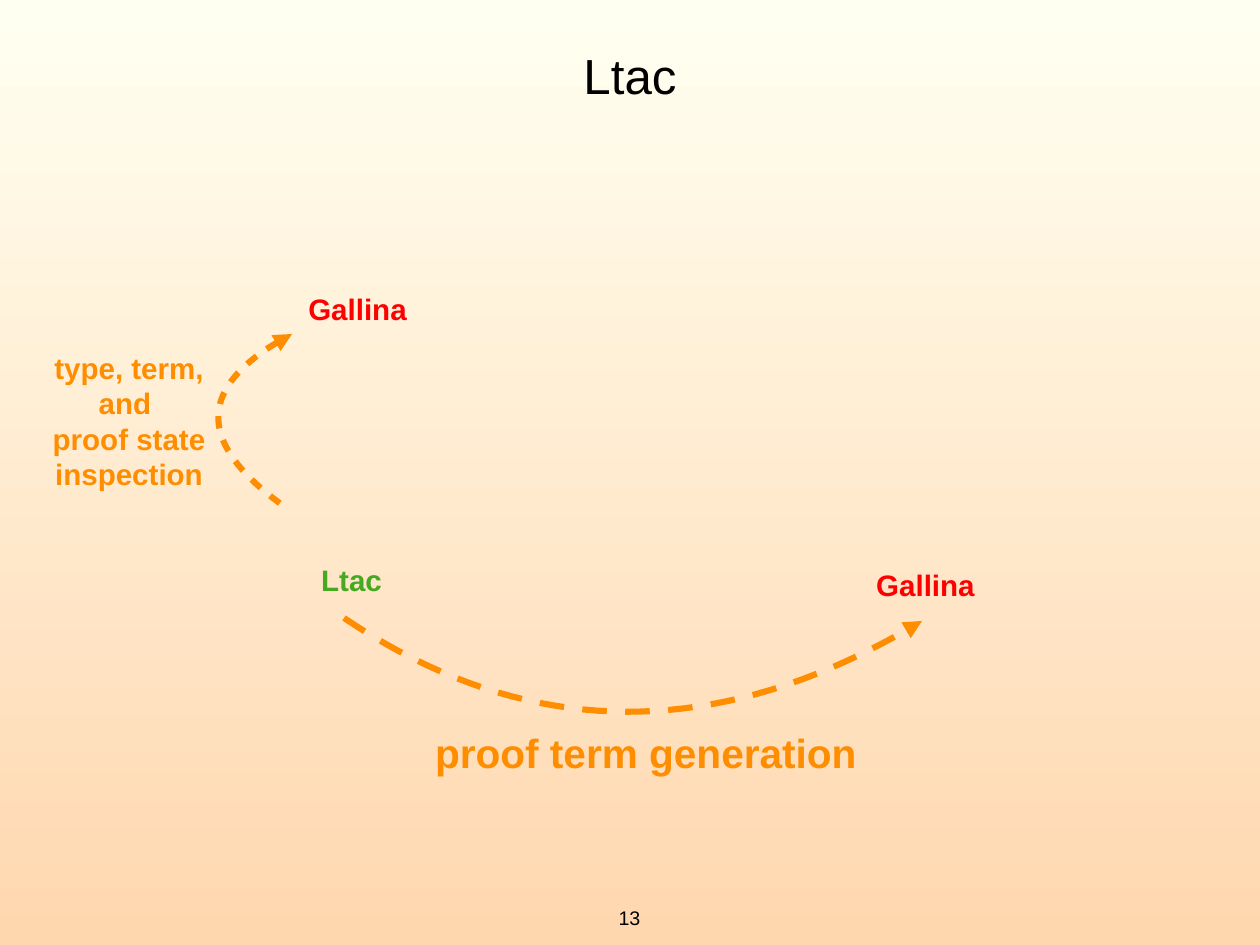
import pptx
import pptx.dml.color
import pptx.enum.text
import pptx.oxml.ns
import pptx.util
from lxml import etree

PX = 10320  # EMU per px
SLIDE_WIDTH, SLIDE_HEIGHT = 1260, 945
INSET = 5
FONT = "Arial"
CURVE_STEPS = 40
CURVE_WEIGHT = 5

BLACK = pptx.dml.color.RGBColor(0x00, 0x00, 0x00)
ORANGE = pptx.dml.color.RGBColor(0xFF, 0x8D, 0x00)
GREEN = pptx.dml.color.RGBColor(0x45, 0xAA, 0x21)
RED = pptx.dml.color.RGBColor(0xFF, 0x00, 0x00)
CREAM = pptx.dml.color.RGBColor(0xFF, 0xFF, 0xF1)
PEACH = pptx.dml.color.RGBColor(0xFF, 0xD7, 0xAF)


def px(length):
    return pptx.util.Emu(length * PX)


def paint_background(slide):
    fill = slide.background.fill
    fill.gradient()
    fill.gradient_angle = 270
    for stop, color, position in zip(fill.gradient_stops, (CREAM, PEACH), (0, 1)):
        stop.color.rgb = color
        stop.position = position


def write_text(label, text, size, color, bold=True, wrap=True):
    frame = label.text_frame
    frame.word_wrap = wrap
    frame.vertical_anchor = pptx.enum.text.MSO_ANCHOR.MIDDLE
    frame.margin_left = frame.margin_right = px(INSET)
    frame.margin_top = frame.margin_bottom = px(INSET)
    frame.text = text
    for paragraph in frame.paragraphs:
        paragraph.alignment = pptx.enum.text.PP_ALIGN.CENTER
        paragraph.font.name = FONT
        paragraph.font.size = pptx.util.Pt(size)
        paragraph.font.bold = bold
        paragraph.font.color.rgb = color


def add_label(slide, text, left, top, width, height, size, color, bold=True, wrap=True):
    label = slide.shapes.add_textbox(px(left), px(top), px(width), px(height))
    write_text(label, text, size, color, bold, wrap)


def add_outline(slide, points, close):
    builder = slide.shapes.build_freeform(*points[0], scale=1.0)
    builder.add_line_segments(points[1:], close=close)
    outline = builder.convert_to_shape()
    outline.shadow.inherit = False
    outline.fill.background()
    return outline


def add_caption(slide, text, left, top, width, height, size):
    right, bottom = left + width, top + height
    corners = ((left, top), (right, top), (right, bottom), (left, bottom))
    caption = add_outline(slide, [(px(x), px(y)) for x, y in corners], close=True)
    caption.line.fill.background()
    write_text(caption, text, size, ORANGE)


def bezier_point(controls, t):
    weights = ((1 - t) ** 3, 3 * t * (1 - t) ** 2, 3 * t * t * (1 - t), t ** 3)
    return tuple(
        round(PX * sum(weight * point[axis] for weight, point in zip(weights, controls)))
        for axis in (0, 1)
    )


def add_curved_arrow(slide, controls, dash, gap, arrow_end):
    """Dash and gap are multiples of the line width; arrow_end is headEnd or tailEnd."""
    points = [bezier_point(controls, step / CURVE_STEPS) for step in range(CURVE_STEPS + 1)]
    arrow = add_outline(slide, points, close=False)
    arrow.line.color.rgb = ORANGE
    arrow.line.width = pptx.util.Pt(CURVE_WEIGHT)

    # Dash pattern and arrowhead
    qn = pptx.oxml.ns.qn
    line = arrow.element.spPr.find(qn("a:ln"))
    pattern = etree.SubElement(line, qn("a:custDash"))
    etree.SubElement(pattern, qn("a:ds"), d=str(dash * 100000), sp=str(gap * 100000))
    etree.SubElement(line, qn("a:round"))
    etree.SubElement(line, qn(f"a:{arrow_end}"), type="triangle")


def main():
    deck = pptx.Presentation()
    deck.slide_width, deck.slide_height = px(SLIDE_WIDTH), px(SLIDE_HEIGHT)
    slide = deck.slides.add_slide(deck.slide_layouts[6])
    paint_background(slide)

    # Title and page number
    add_label(slide, "Ltac", 92, 24, 1076, 101, 40, BLACK, bold=False)
    add_label(slide, "13", 613, 902, 33, 31, 16, BLACK, bold=False, wrap=False)

    # Proof term generation: Ltac to Gallina on the right
    add_curved_arrow(slide, ((344, 618), (528, 742), (720, 743), (922, 621)), 4, 3, "tailEnd")
    add_caption(slide, "proof term generation", 392, 723, 508, 59, 33)

    # Inspection: Ltac to Gallina above
    add_curved_arrow(slide, ((292, 334), (196, 385), (194, 442), (285, 507)), 2, 2, "headEnd")
    add_caption(slide, "type, term,\vand \vproof state\ninspection", 26, 344, 206, 153, 24)

    # Languages
    for language, left, top, color in (
        ("Ltac", 292, 557, GREEN),
        ("Gallina", 866, 562, RED),
        ("Gallina", 298, 286, RED),
    ):
        add_label(slide, language, left, top, 119, 46, 24, color)

    deck.save("out.pptx")


if __name__ == "__main__":
    main()
